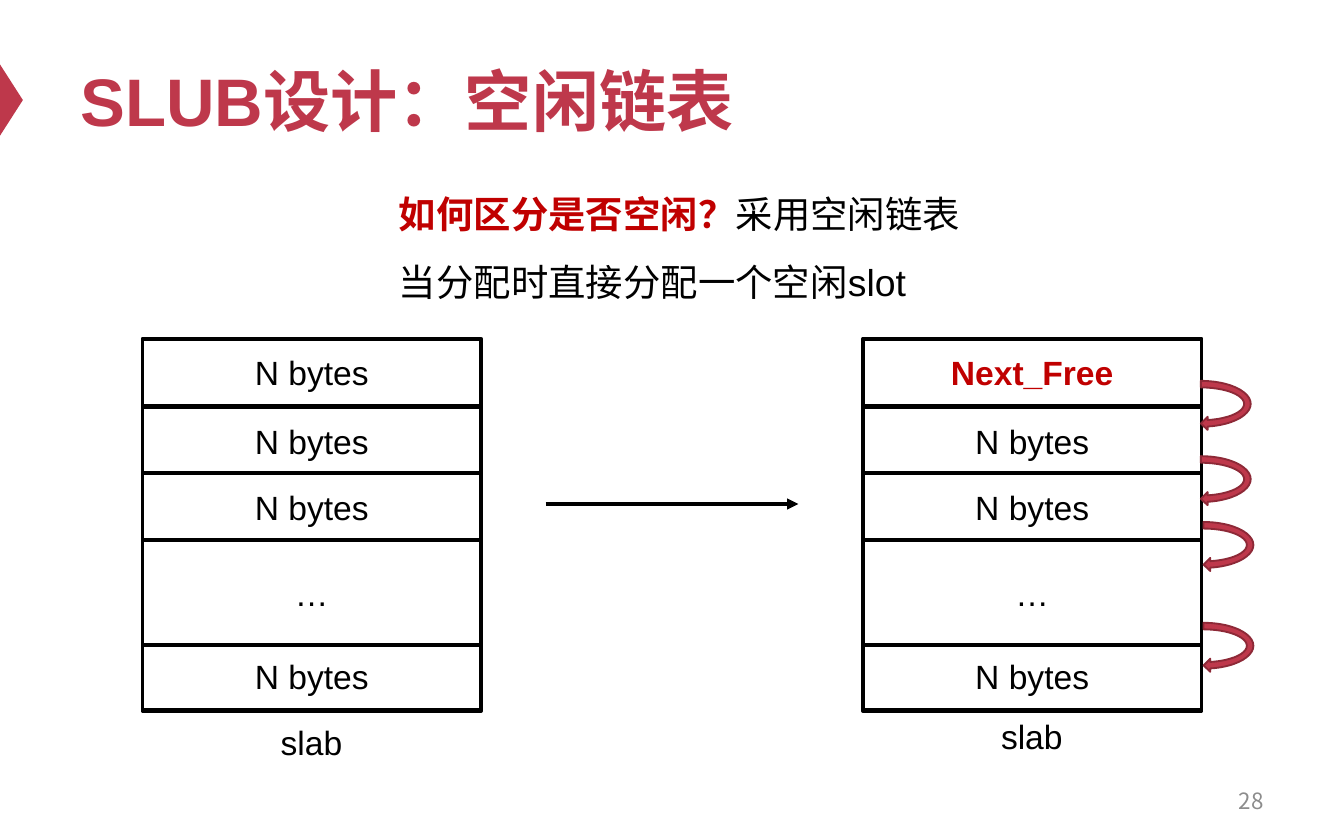
from lxml import etree
from pptx import Presentation
from pptx.dml.color import RGBColor
from pptx.enum.shapes import MSO_CONNECTOR, MSO_SHAPE as SHAPE
from pptx.enum.text import MSO_ANCHOR as ANCHOR, MSO_AUTO_SIZE as FIT, PP_ALIGN as ALIGN
from pptx.oxml.ns import qn
from pptx.util import Inches, Pt

HUE = {"brand": "BE384B", "edge": "8D2937", "key": "C00000",
       "ink": "000000", "paper": "FFFFFF", "gray": "8C8C8C"}

deck = Presentation()
deck.slide_width, deck.slide_height = Inches(10), Inches(6.25)
slide = deck.slides.add_slide(deck.slide_layouts[6])
shapes = slide.shapes


def draw(kind, box, fill, line=None, width=2, turn=0):
    shape = shapes.add_shape(kind, *map(Inches, box))
    shape.shadow.inherit = False
    shape.rotation = turn
    shape.fill.solid()
    shape.fill.fore_color.rgb = RGBColor.from_string(HUE[fill])
    if line:
        shape.line.color.rgb = RGBColor.from_string(HUE[line])
        shape.line.width = Pt(width)
    else:
        shape.line.fill.background()
    return shape


def write(para, text, size, hue="ink", bold=False, face="Arial", align=ALIGN.LEFT):
    """Add one run, with a simplified Chinese face for its CJK letters."""
    para.alignment = align
    run = para.add_run()
    run.text = text
    for font in (para.font, run.font):
        font.name, font.size, font.bold = face, Pt(size), bold
        font.color.rgb = RGBColor.from_string(HUE[hue])
    east = etree.SubElement(run.font._element, qn("a:ea"))
    east.set("typeface", "Noto Sans CJK SC")


# Heading and page number
draw(SHAPE.ISOSCELES_TRIANGLE, (-0.18, 0.66, 0.53, 0.17), "brand", turn=90)

title = shapes.add_textbox(Inches(0.5), Inches(0.25), Inches(9), Inches(0.98)).text_frame
title.word_wrap = True
title.vertical_anchor = ANCHOR.MIDDLE
write(title.paragraphs[0], "SLUB设计：空闲链表", 36, "brand", True)

page = shapes.add_textbox(Inches(7.17), Inches(5.79), Inches(2.33), Inches(0.33)).text_frame
page.word_wrap = True
page.vertical_anchor = ANCHOR.MIDDLE
write(page.paragraphs[0], "28", 12, "gray", face="Noto Sans CJK SC", align=ALIGN.RIGHT)

# Question and answer
intro = shapes.add_textbox(Inches(2.87), Inches(1.21), Inches(4.41), Inches(1.05)).text_frame
intro.word_wrap = False
intro.auto_size = FIT.SHAPE_TO_FIT_TEXT
ask, rule = intro.paragraphs[0], intro.add_paragraph()
ask.line_spacing = rule.line_spacing = 1.5
write(ask, "如何区分是否空闲？", 20, "key", True)
write(ask, "采用空闲链表", 20)
write(rule, "当分配时直接分配一个空闲slot", 20)

# Arrow from the plain slab to the linked one
arrow = shapes.add_connector(MSO_CONNECTOR.STRAIGHT, Inches(4.06), Inches(3.75),
                             Inches(5.94), Inches(3.75))
arrow.line.color.rgb = RGBColor.from_string(HUE["ink"])
arrow.line.width = Pt(2)
etree.SubElement(arrow.line._get_or_add_ln(), qn("a:tailEnd")).set("type", "triangle")
etree.SubElement(arrow._element.spPr, qn("a:effectLst"))

# Slabs: left, first slot, caption top
WIDE = 2.52
ROWS = [(2.52, 0.5), (3.03, 0.5), (3.52, 0.5), (4.78, 0.5), (4.02, 0.78)]
for left, first, base in [(6.42, "Next_Free", 5.28), (1.06, "N bytes", 5.32)]:
    draw(SHAPE.RECTANGLE, (left, 2.53, WIDE, 2.76), "paper", "ink")
    slots = [first, "N bytes", "N bytes", "N bytes", "…"]
    for (top, high), text in zip(ROWS, slots):
        frame = draw(SHAPE.RECTANGLE, (left, top, WIDE, high), "paper", "ink").text_frame
        frame.vertical_anchor = ANCHOR.MIDDLE
        key = text == "Next_Free"
        write(frame.paragraphs[0], text, 18, "key" if key else "ink", key,
              align=ALIGN.CENTER)
    label = shapes.add_textbox(Inches(left + 0.93), Inches(base), Inches(0.66),
                               Inches(0.4)).text_frame
    label.word_wrap = False
    label.auto_size = FIT.SHAPE_TO_FIT_TEXT
    write(label.paragraphs[0], "slab", 18)

# Links from each free slot to the next
for left, top in [(8.74, 2.61), (8.74, 3.17), (8.76, 3.66), (8.76, 4.41)]:
    draw(SHAPE.CIRCULAR_ARROW, (left, top, 0.39, 0.79), "brand", "edge", 1, 90)

deck.save("out.pptx")
